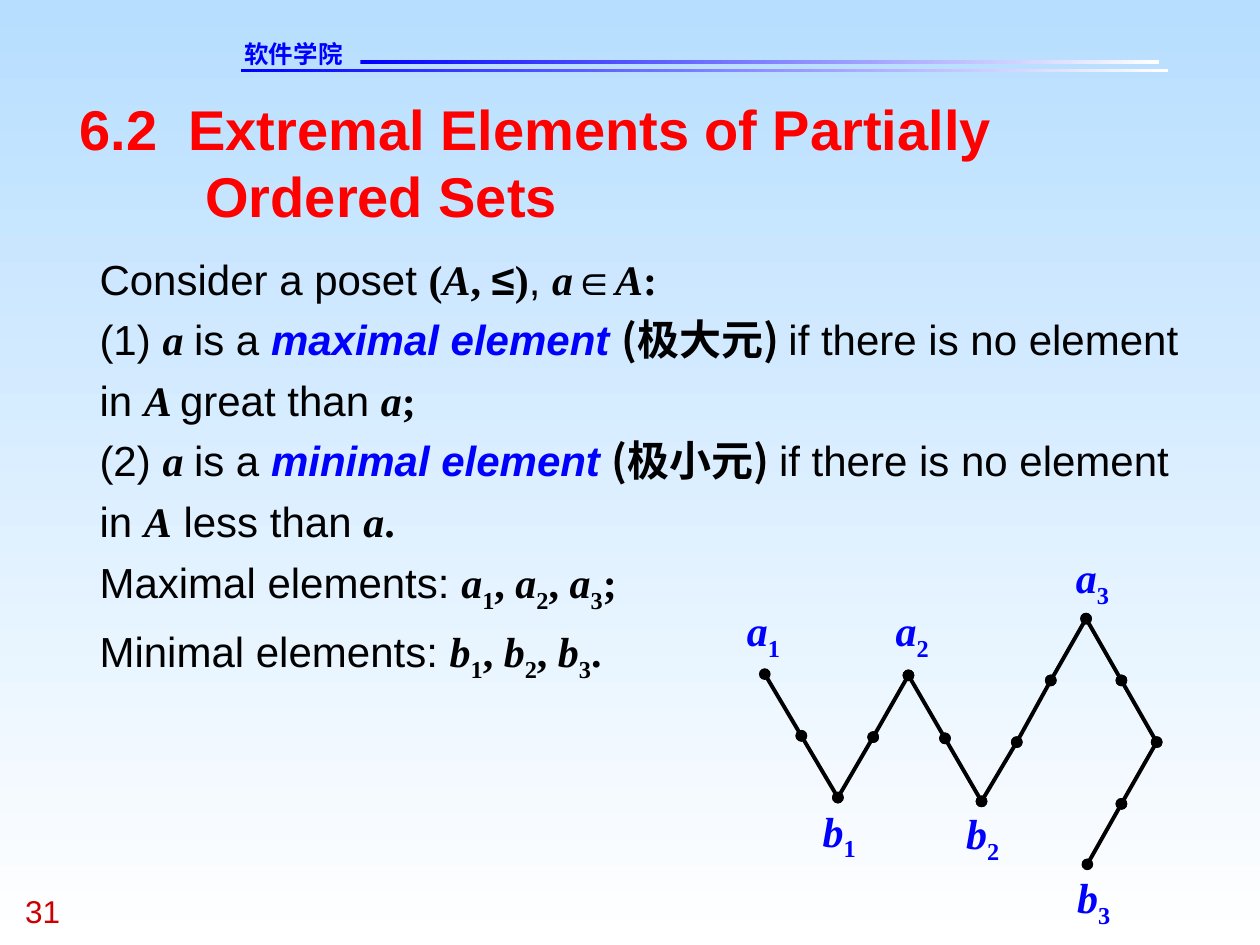
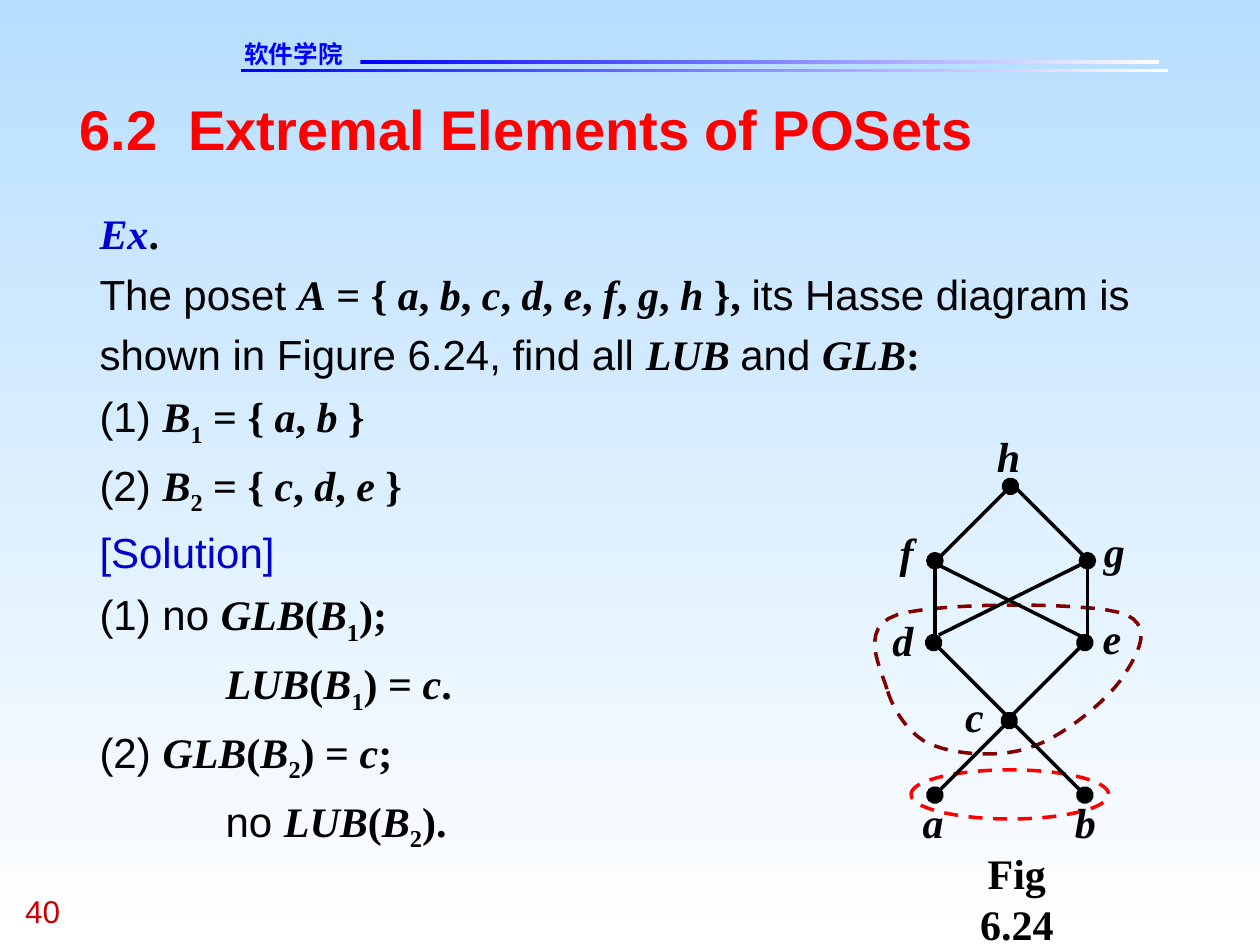
"""Build two slides on the extremal elements of partially ordered sets."""
from lxml import etree
from pptx import Presentation
from pptx.dml.color import RGBColor
from pptx.enum.dml import MSO_LINE
from pptx.enum.shapes import MSO_CONNECTOR, MSO_SHAPE
from pptx.enum.text import MSO_AUTO_SIZE, PP_ALIGN
from pptx.oxml.ns import qn
from pptx.util import Inches, Pt

STRAIGHT = MSO_CONNECTOR.STRAIGHT
RECTANGLE, OVAL = MSO_SHAPE.RECTANGLE, MSO_SHAPE.OVAL
CENTER = PP_ALIGN.CENTER
DASH = MSO_LINE.DASH
GROW = MSO_AUTO_SIZE.SHAPE_TO_FIT_TEXT

SANS, TIMES, CJK = "Arial", "Times New Roman", "Noto Sans CJK SC"
BLACK, BLUE, NAVY, RED = "000000", "0000FF", "0000CC", "FF0000"
SKY, WHITE, CRIMSON, MAROON = "B7DEFF", "FFFFFF", "CC0000", "800000"

# style: font, size, colour, bold, italic, baseline
STYLES = {
    "title": (SANS, 32, RED, True, False, 0),
    "school": ("DejaVu Sans", 14, BLUE, True, False, 0),
    "number": (SANS, 18, CRIMSON, False, False, 0),
    "body": (SANS, 24, BLACK, False, False, 0),
    "heading": (SANS, 24, NAVY, False, False, 0),
    "term": (SANS, 24, BLUE, True, True, 0),
    "symbol": (SANS, 24, BLACK, True, False, 0),
    "chinese": (CJK, 24, BLACK, True, False, 0),
    "math": (TIMES, 24, BLACK, True, False, 0),
    "var": (TIMES, 24, BLACK, True, True, 0),
    "sub": (TIMES, 24, BLACK, True, False, -25000),
    "example": (TIMES, 24, NAVY, True, True, 0),
    "blue var": (TIMES, 24, BLUE, True, True, 0),
    "blue sub": (TIMES, 24, BLUE, True, False, -25000),
}


def write(slide, box, paragraphs, align=None, spacing=None, wrap=True):
    frame = slide.shapes.add_textbox(*map(Inches, box)).text_frame
    frame.auto_size = GROW
    frame.word_wrap = wrap
    frame.margin_left = frame.margin_right = frame.margin_top = frame.margin_bottom = 0
    for index, runs in enumerate(paragraphs):
        paragraph = frame.add_paragraph() if index else frame.paragraphs[0]
        paragraph.alignment = align
        paragraph.line_spacing = spacing
        tabs = etree.SubElement(paragraph._p.get_or_add_pPr(), qn("a:tabLst"))
        etree.SubElement(tabs, qn("a:tab"), pos=str(Inches(1)), algn="l")
        for text, style in runs:
            if text == "\n":
                paragraph.add_line_break()
                continue
            font, size, colour, bold, italic, baseline = STYLES[style]
            run = paragraph.add_run()
            run.text = text
            run.font.size = Pt(size)
            run.font.bold, run.font.italic = bold, italic
            run.font.color.rgb = RGBColor.from_string(colour)
            run.font.name = font
            properties = run._r.get_or_add_rPr()
            if baseline:
                properties.set("baseline", str(baseline))
            if font == CJK:
                etree.SubElement(properties, qn("a:ea"), typeface=font)


def connect(slide, start, end, width, dots, dot_size):
    edge = slide.shapes.add_connector(STRAIGHT, *map(Inches, (*start, *end)))
    edge.line.width = Pt(width)
    edge.line.color.rgb = RGBColor.from_string(BLACK)
    properties = edge._element.spPr
    outline = properties.find(qn("a:ln"))
    for dot in dots:
        etree.SubElement(outline, qn(f"a:{dot}End"), type="oval", w=dot_size, len=dot_size)
    etree.SubElement(properties, qn("a:effectLst"))


deck = Presentation()
deck.slide_width, deck.slide_height = Inches(10), Inches(7.5)

slides = []
for number, title in (
    ("31", ["6.2  Extremal Elements of Partially ", "\n", "\tOrdered Sets"]),
    ("40", ["6.2  Extremal Elements of POSets"]),
):
    slide = deck.slides.add_slide(deck.slide_layouts[6])
    gradients = [(slide.background.fill, SKY, WHITE, 270)]
    for band in ((1.91, 0.55, 7.36, 0.02), (2.86, 0.48, 6.34, 0.03)):
        rule = slide.shapes.add_shape(RECTANGLE, *map(Inches, band))
        rule.shadow.inherit = False
        rule.line.fill.background()
        gradients.append((rule.fill, BLUE, WHITE, 0))
    for fill, first, last, angle in gradients:
        fill.gradient()
        fill.gradient_angle = angle
        for stop, colour in zip(fill.gradient_stops, (first, last)):
            stop.color.rgb = RGBColor.from_string(colour)
    write(slide, (1.94, 0.31, 1.45, 0.23), [[("软件学院", "school")]])
    write(slide, (0.2, 7.08, 0.75, 0.3), [[(number, "number")]])
    write(slide, (0.63, 0.75, 8.75, 0.53 if len(title) == 1 else 1.07),
          [[(part, "title") for part in title]])
    slides.append(slide)
extremal, bounds = slides

definitions = [[
    ("Consider a poset ", "body"), ("(", "math"), ("A", "var"), (", ", "math"),
    ("≤", "symbol"), (")", "math"), (", ", "body"), ("a", "var"),
    ("∈", "symbol"), ("A", "var"), (":", "math"),
]]
for item, term, chinese, whole, relation, end in (
    ("(1) ", "maximal element ", "(极大元) ", "A ", "great than ", ";"),
    ("(2) ", "minimal element ", "(极小元) ", "A", " less than ", "."),
):
    definitions.append([
        (item, "body"), ("a ", "var"), ("is a ", "body"), (term, "term"),
        (chinese, "chinese"), ("if there is no element in ", "body"),
        (whole, "var"), (relation, "body"), ("a", "var"), (end, "math"),
    ])
for kind, letter, end in (("Maximal", "a", ";"), ("Minimal", "b", ".")):
    runs = [(f"{kind} elements: ", "body")]
    for index, mark in (("1", ", "), ("2", ", "), ("3", end)):
        runs += [(letter, "var"), (index, "sub"), (mark, "math")]
    definitions.append(runs)
write(extremal, (0.79, 1.93, 8.76, 3.49), definitions, spacing=1.2)

for letter, index, left, top in (
    ("a", "1", 5.91, 4.8), ("b", "1", 6.51, 6.39), ("a", "2", 7.09, 4.8),
    ("b", "2", 7.65, 6.41), ("a", "3", 8.52, 4.38), ("b", "3", 8.53, 6.92),
):
    write(extremal, (left, top, 0.3, 0.46),
          [[(letter, "blue var"), (index, "blue sub")]], CENTER, wrap=False)

zigzag = [
    (6.07, 5.35), (6.36, 5.84), (6.65, 6.33), (6.93, 5.85), (7.21, 5.36),
    (7.5, 5.86), (7.79, 6.36), (8.07, 5.89), (8.34, 5.4), (8.62, 4.91),
    (8.9, 5.4), (9.18, 5.89), (8.9, 6.38), (8.63, 6.86),
]
for start, end in zip(zigzag, zigzag[1:]):
    connect(extremal, start, end, 2.25, ("head", "tail"), "med")

members = {}
for names in ("abcdefgh", "ab", "cde"):
    members[names] = [(" = { ", "math"), (names[0], "var")]
    for name in names[1:]:
        members[names] += [(", ", "math"), (name, "var")]

bound_of = {}
for index in "12":
    bound_of[index] = [("(", "math"), ("B", "var"), (index, "sub")]

exercise = [
    [("Ex", "example"), (".", "math")],
    [("The poset ", "body"), ("A", "var"), *members["abcdefgh"], (" }, ", "math"),
     ("its Hasse diagram is shown in Figure 6.24, find all ", "body"),
     ("LUB ", "var"), ("and ", "body"), ("GLB", "var"), (":", "math")],
    [("(1) ", "body"), ("B", "var"), ("1", "sub"), *members["ab"], (" }", "math")],
    [("(2) ", "body"), ("B", "var"), ("2", "sub"), *members["cde"], (" }", "math")],
    [("[Solution]", "heading")],
    [("(1) no ", "body"), ("GLB", "var"), *bound_of["1"], (");", "math")],
    [("\t", "math"), ("LUB", "var"), *bound_of["1"], (") = ", "math"), ("c", "var"), (".", "math")],
    [("(2) ", "body"), ("GLB", "var"), *bound_of["2"], (") = ", "math"), ("c", "var"), (";", "math")],
    [("\tno ", "body"), ("LUB", "var"), *bound_of["2"], (").", "math")],
]
write(bounds, (0.79, 1.57, 8.76, 5.2), exercise, spacing=1.2)
write(bounds, (7.52, 6.73, 1.1, 0.8), [[("Fig 6.24", "math")]], CENTER)

pair_loop = bounds.shapes.add_shape(OVAL, *map(Inches, (7.23, 6.11, 1.57, 0.39)))
curves = [
    ((7.04, 5.47), (6.99, 5.3), (6.81, 4.98), (7.12, 4.88)),
    ((7.12, 4.88), (7.43, 4.78), (8.58, 4.78), (8.88, 4.86)),
    ((8.88, 4.86), (9.18, 4.94), (9.03, 5.19), (8.92, 5.36)),
    ((8.92, 5.36), (8.81, 5.54), (8.46, 5.83), (8.21, 5.92)),
    ((8.21, 5.92), (7.96, 6.02), (7.61, 5.99), (7.42, 5.92)),
    ((7.42, 5.92), (7.23, 5.86), (7.09, 5.64), (7.04, 5.47)),
]
outline = []
for curve in curves:
    for step in range(1, 13):
        t = step / 12
        weights = ((1 - t) ** 3, 3 * t * (1 - t) ** 2, 3 * t * t * (1 - t), t ** 3)
        outline.append([Inches(sum(w * point[axis] for w, point in zip(weights, curve)))
                        for axis in (0, 1)])
builder = bounds.shapes.build_freeform(*outline[-1])
builder.add_line_segments(outline[:-1], close=True)
triple_loop = builder.convert_to_shape()
for loop, colour in ((pair_loop, RED), (triple_loop, MAROON)):
    loop.shadow.inherit = False
    loop.fill.background()
    loop.line.color.rgb = RGBColor.from_string(colour)
    loop.line.width = Pt(2)
    loop.line.dash_style = DASH

for start, end, dots in (
    ((8, 5.69), (7.41, 5.1), ["tail"]),
    ((8.61, 6.31), (8.02, 5.72), ["head"]),
    ((8.02, 5.69), (8.61, 5.1), ["tail"]),
    ((7.42, 6.31), (8.01, 5.72), ["head", "tail"]),
    ((7.45, 5.04), (8.64, 4.45), []),
    ((8.58, 5.05), (7.4, 4.46), []),
    ((8.63, 5.04), (8.63, 4.45), ["tail"]),
    ((7.42, 5.04), (7.42, 4.45), ["tail"]),
    ((8.63, 4.44), (8.04, 3.85), []),
    ((7.43, 4.45), (8.02, 3.86), ["tail"]),
):
    connect(bounds, start, end, 2, dots, "lg")

for name, left, top, width in (
    ("a", 7.32, 6.32, 0.17), ("b", 8.53, 6.32, 0.17), ("c", 7.66, 5.48, 0.15),
    ("d", 7.08, 4.88, 0.17), ("e", 8.75, 4.86, 0.15), ("f", 7.14, 4.18, 0.11),
    ("g", 8.76, 4.17, 0.17), ("h", 7.91, 3.42, 0.19),
):
    write(bounds, (left, top, width, 0.4), [[(name, "var")]], CENTER, wrap=False)

deck.save("out.pptx")
